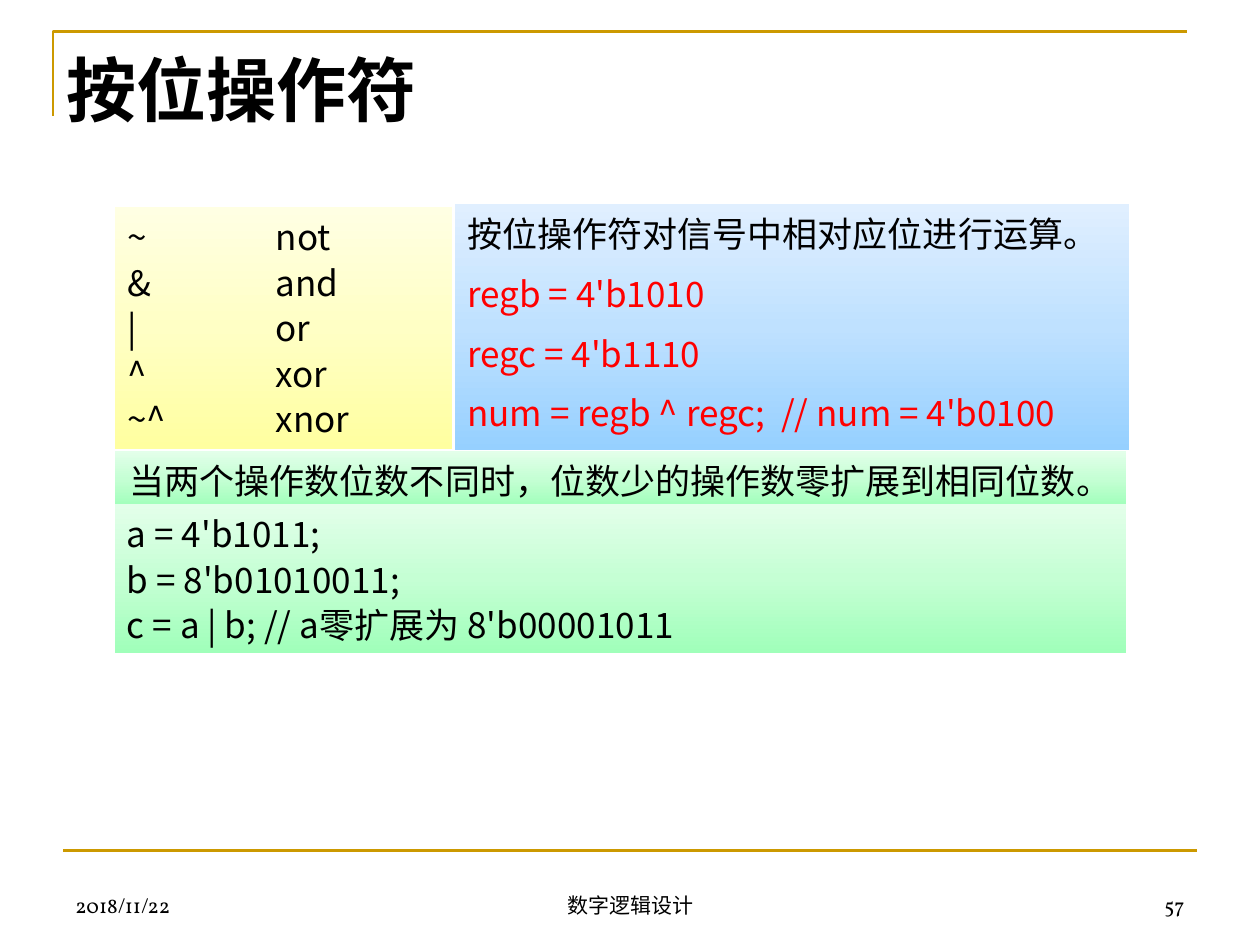
from lxml.etree import SubElement
from pptx import Presentation
from pptx.dml.color import RGBColor
from pptx.enum.shapes import MSO_CONNECTOR as Connector, MSO_SHAPE as Shape
from pptx.enum.text import MSO_ANCHOR as Anchor, PP_ALIGN as Align
from pptx.oxml.ns import qn
from pptx.util import Inches, Pt

BLACK = RGBColor(0x00, 0x00, 0x00)
RED = RGBColor(0xFF, 0x00, 0x00)
GOLD = RGBColor(0xCC, 0x99, 0x00)
YELLOWS = [RGBColor.from_string(c) for c in ("FFFFA0", "FFFFC5", "FFFFE3")]
BLUES = [RGBColor.from_string(c) for c in ("96D0FF", "BFE1FF", "E0EFFF")]
GREENS = [RGBColor.from_string(c) for c in ("A0FFBA", "C5FFD4", "E3FFEA")]
SANS, SERIF = "Noto Sans CJK SC", "Vollkorn"
NAME_TAB = 1.18

TITLE = "按位操作符"
OPERATORS = [("~", "not"), ("&", "and"), ("|", "or"), ("^", "xor"), ("~^", "xnor")]
EXAMPLE = [
    ("按位操作符对信号中相对应位进行运算。", BLACK),
    ("regb = 4'b1010", RED),
    ("regc = 4'b1110", RED),
    ("num = regb ^ regc;  // num = 4'b0100", RED),
]
EXTENSION_RULE = "当两个操作数位数不同时，位数少的操作数零扩展到相同位数。"
EXTENSION_CODE = ["a = 4'b1011;", "b = 8'b01010011;", "c = a | b; // a零扩展为 8'b00001011"]

# box, gradient, lines with colours, space before in points, alignment
PANELS = [
    ((0.91, 1.64, 2.68, 1.92), YELLOWS,
     [("\t".join(pair), BLACK) for pair in OPERATORS], 2, Align.LEFT),
    ((3.61, 1.62, 5.35, 1.95), BLUES, EXAMPLE, 10, Align.LEFT),
    ((0.91, 3.58, 8.03, 0.44), GREENS, [(EXTENSION_RULE, BLACK)], 10, Align.CENTER),
    ((0.91, 4.00, 8.03, 1.18), GREENS,
     [(line, BLACK) for line in EXTENSION_CODE], 2, Align.LEFT),
]
FOOTERS = [
    ("2018/11/22", 0.5, 2.33, Align.LEFT),
    ("数字逻辑设计", 3.42, 3.17, Align.CENTER),
    ("57", 7.17, 2.33, Align.RIGHT),
]


def set_all(target, values):
    """Set every attribute named in a dict."""
    for name, value in values.items():
        setattr(target, name, value)


def write(shape, lines, font, frame, layout):
    """Fill a shape with (text, colour) lines in one format."""
    text_frame = shape.text_frame
    set_all(text_frame, {"word_wrap": True, "vertical_anchor": Anchor.TOP, **frame})
    for index, (text, colour) in enumerate(lines):
        paragraph = text_frame.paragraphs[0] if index == 0 else text_frame.add_paragraph()
        set_all(paragraph, layout)
        if "\t" in text:
            tabs = SubElement(paragraph._p.get_or_add_pPr(), qn("a:tabLst"))
            SubElement(tabs, qn("a:tab"), pos=str(Inches(NAME_TAB)), algn="l")
        run = paragraph.add_run()
        run.text = text
        set_all(run.font, font)
        run.font.color.rgb = colour
        SubElement(run._r.get_or_add_rPr(), qn("a:ea"), typeface=SANS)


def add_text(slide, box, lines, font, frame, layout):
    """Add a text box."""
    shape = slide.shapes.add_textbox(*map(Inches, box))
    write(shape, lines, font, frame, layout)


def add_panel(slide, box, colours, lines, space, align):
    """Add a rectangle with a vertical gradient and code lines."""
    shape = slide.shapes.add_shape(Shape.RECTANGLE, *map(Inches, box))
    shape.shadow.inherit = False
    shape.line.fill.background()
    shape.fill.gradient()
    shape.fill.gradient_angle = 90
    stops = next(shape._element.spPr.iter(qn("a:gsLst")))
    for stop in list(stops):
        stops.remove(stop)
    for position, colour in zip((0, 50000, 100000), colours):
        stop = SubElement(stops, qn("a:gs"), pos=str(position))
        SubElement(stop, qn("a:srgbClr"), val=str(colour))
    write(shape, lines, {"name": SANS, "size": Pt(20)}, {"margin_top": Inches(0.07)},
          {"alignment": align, "line_spacing": Pt(24), "space_before": Pt(space)})


def add_rules(slide):
    """Draw the corner rule at the title and the rule above the footer."""
    builder = slide.shapes.build_freeform(Inches(0.42), Inches(0.92))
    builder.add_line_segments(
        [(Inches(0.42), Inches(0.25)), (Inches(9.42), Inches(0.25))], close=False)
    corner = builder.convert_to_shape()
    corner.shadow.inherit = False
    corner.fill.background()
    rule = slide.shapes.add_connector(
        Connector.STRAIGHT, *map(Inches, (0.5, 6.75, 9.5, 6.75)))
    SubElement(rule._element.spPr, qn("a:effectLst"))
    for shape in (corner, rule):
        shape.line.color.rgb = GOLD
        shape.line.width = Pt(1.5)


presentation = Presentation()
set_all(presentation, {"slide_width": Inches(10), "slide_height": Inches(7.5)})
slide = presentation.slides.add_slide(presentation.slide_layouts[6])
add_rules(slide)
for text, left, width, align in FOOTERS:
    add_text(slide, (left, 6.83, width, 0.5), [(text, BLACK)],
             {"name": SERIF, "size": Pt(12)}, {"vertical_anchor": Anchor.BOTTOM},
             {"alignment": align})
add_text(slide, (0.43, 0.28, 8.58, 0.77), [(TITLE, BLACK)],
         {"name": SANS, "size": Pt(40), "bold": True}, {"margin_top": Inches(0.09)},
         {"line_spacing": Pt(48)})
for panel in PANELS:
    add_panel(slide, *panel)
presentation.save("out.pptx")
